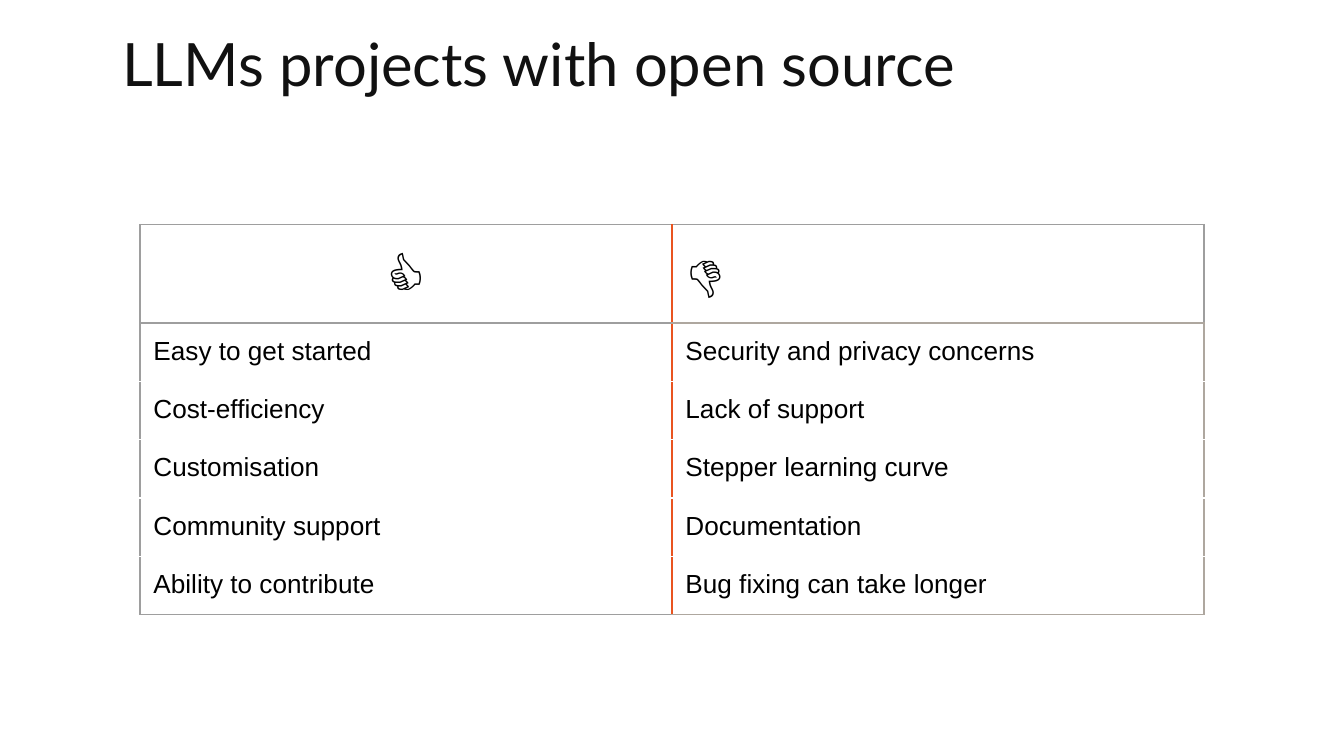
from typing import NamedTuple

from lxml.etree import SubElement, Element
from pptx import Presentation
from pptx.dml.color import RGBColor
from pptx.enum.text import MSO_ANCHOR, PP_ALIGN
from pptx.oxml.ns import qn
from pptx.util import Inches, Pt

INK = RGBColor(0x11, 0x11, 0x11)
BLACK = RGBColor(0x00, 0x00, 0x00)
WHITE = RGBColor(0xFF, 0xFF, 0xFF)
GREY = RGBColor(0x9E, 0x9E, 0x9E)
WARM_GREY = RGBColor(0xAE, 0xA7, 0x9F)
ORANGE = RGBColor(0xE9, 0x54, 0x20)

SLIDE_WIDTH = 10
SLIDE_HEIGHT = SLIDE_WIDTH * 9 / 16
GRID = 1 / 24
TABLE_LEFT = 25 * GRID
TABLE_TOP = 1.67
TABLE_SIZE = 3.28
COLUMN_WIDTH = 95 * GRID
ROW_HEIGHT = 10 * GRID
MARGIN = Inches(0.1)


class TextStyle(NamedTuple):
    font: str
    size: int
    color: RGBColor


class Column(NamedTuple):
    heading: str
    heading_align: PP_ALIGN
    points: list[str]
    left: RGBColor
    right: RGBColor
    header_right: RGBColor
    rule: RGBColor


TITLE = TextStyle("Lato", 32, INK)
HEADING = TextStyle("Lato", 32, BLACK)
BODY = TextStyle("Arial", 14, BLACK)

COLUMNS = [
    Column("👍", PP_ALIGN.CENTER,
           ["Easy to get started", "Cost-efficiency", "Customisation",
            "Community support", "Ability to contribute"],
           GREY, ORANGE, ORANGE, GREY),
    Column("👎", PP_ALIGN.LEFT,
           ["Security and privacy concerns", "Lack of support",
            "Stepper learning curve", "Documentation",
            "Bug fixing can take longer"],
           ORANGE, WARM_GREY, GREY, WARM_GREY),
]


def write(frame, text: str, style: TextStyle, align=PP_ALIGN.LEFT) -> None:
    paragraph = frame.paragraphs[0]
    paragraph.alignment = align
    run = paragraph.add_run()
    run.text = text
    run.font.name = style.font
    run.font.size = Pt(style.size)
    run.font.color.rgb = style.color


def set_margins(holder) -> None:
    holder.margin_left = holder.margin_right = MARGIN
    holder.margin_top = holder.margin_bottom = MARGIN


def set_borders(cell, left: RGBColor, right: RGBColor,
                top: RGBColor, bottom: RGBColor) -> None:
    properties = cell._tc.get_or_add_tcPr()
    sides = {"a:lnL": left, "a:lnR": right, "a:lnT": top, "a:lnB": bottom}
    for index, (tag, color) in enumerate(sides.items()):
        line = Element(qn(tag), w=str(Pt(0.75)))
        fill = SubElement(line, qn("a:solidFill"))
        SubElement(fill, qn("a:srgbClr"), val=str(color))
        properties.insert(index, line)


def fill_cell(cell, text: str, style: TextStyle, align=PP_ALIGN.LEFT) -> None:
    write(cell.text_frame, text, style, align)
    set_margins(cell)
    cell.fill.background()


def fill_column(table, index: int, column: Column) -> None:
    header = table.cell(0, index)
    fill_cell(header, column.heading, HEADING, column.heading_align)
    set_borders(header, column.left, column.header_right, GREY, column.rule)
    last = len(column.points)
    for row, point in enumerate(column.points, start=1):
        cell = table.cell(row, index)
        fill_cell(cell, point, BODY)
        set_borders(cell, column.left, column.right,
                    column.rule if row == 1 else WHITE,
                    column.rule if row == last else WHITE)


def add_title(slide, text: str) -> None:
    title = slide.shapes.add_textbox(
        Inches(0.81), Inches(-0.08), Inches(8.69), Inches(1.09))
    frame = title.text_frame
    frame.word_wrap = True
    frame.vertical_anchor = MSO_ANCHOR.MIDDLE
    set_margins(frame)
    write(frame, text, TITLE)


def add_comparison(slide, columns: list[Column]) -> None:
    shape = slide.shapes.add_table(
        len(columns[0].points) + 1, len(columns),
        Inches(TABLE_LEFT), Inches(TABLE_TOP),
        Inches(TABLE_SIZE), Inches(TABLE_SIZE))
    table = shape.table
    table.first_row = table.horz_banding = False
    for row in table.rows:
        row.height = Inches(ROW_HEIGHT)
    for index, column in enumerate(columns):
        table.columns[index].width = Inches(COLUMN_WIDTH)
        fill_column(table, index, column)
    shape.width = shape.height = Inches(TABLE_SIZE)


def main() -> None:
    presentation = Presentation()
    presentation.slide_width = Inches(SLIDE_WIDTH)
    presentation.slide_height = Inches(SLIDE_HEIGHT)
    slide = presentation.slides.add_slide(presentation.slide_layouts[6])
    add_title(slide, "LLMs projects with open source")
    add_comparison(slide, COLUMNS)
    presentation.save("out.pptx")


if __name__ == "__main__":
    main()
